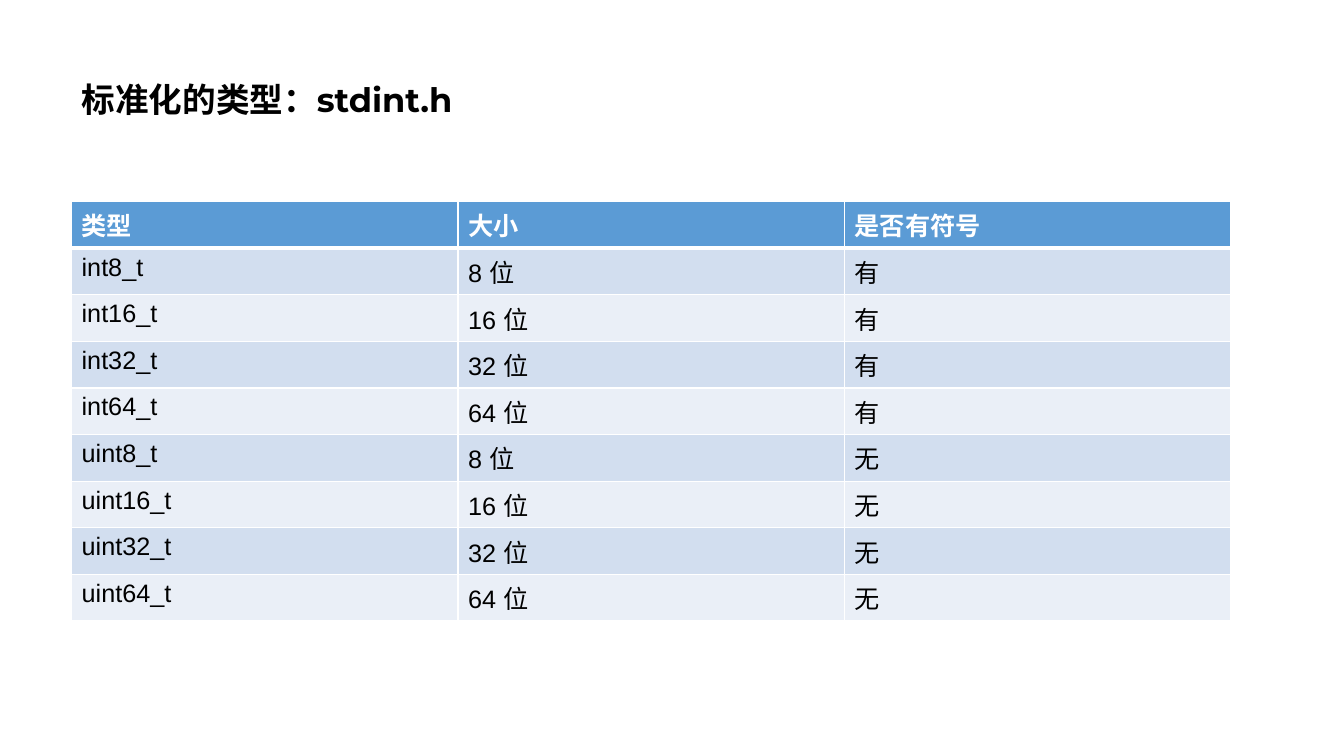
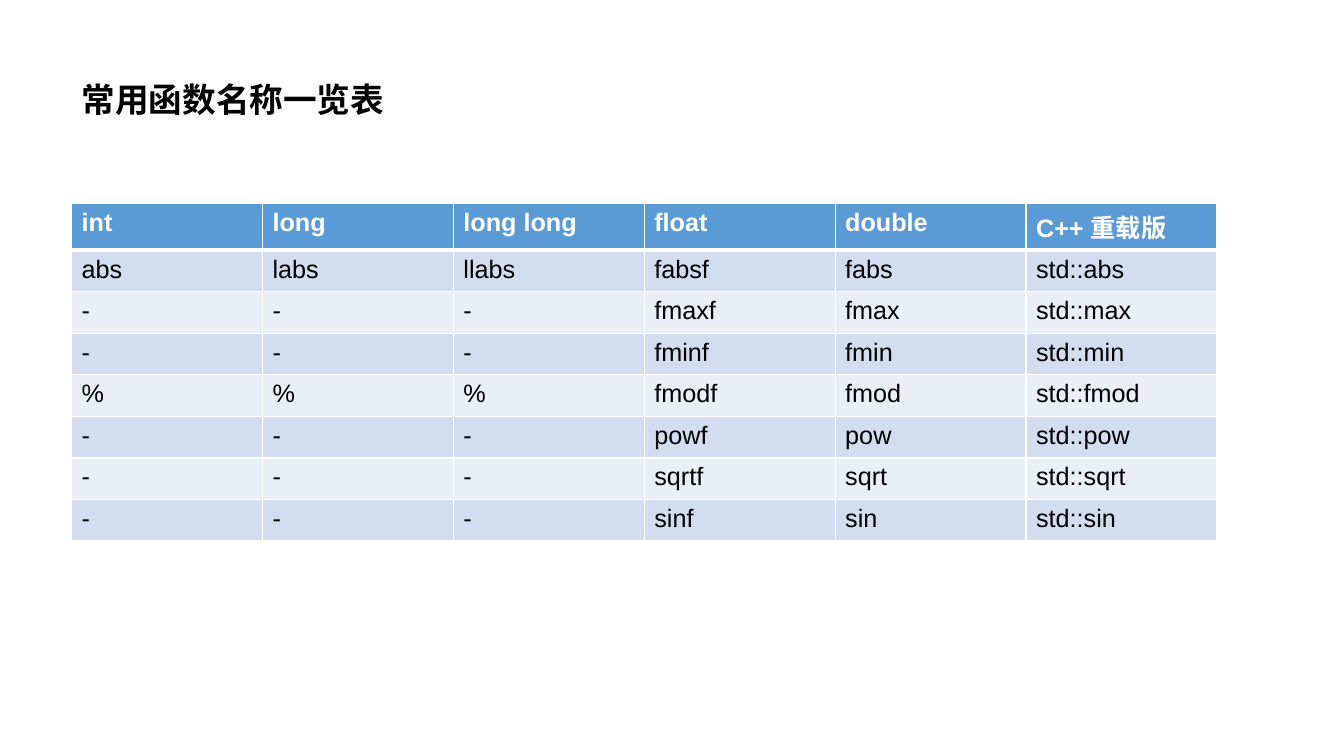
"""Build two table slides: fixed-width integer types and common math functions."""
from pptx import Presentation
from pptx.dml.color import RGBColor
from pptx.enum import text
from pptx.oxml import parse_xml
from pptx.oxml.ns import nsdecls
from pptx.util import Inches, Pt

BLACK = RGBColor(0x00, 0x00, 0x00)
WHITE = RGBColor(0xFF, 0xFF, 0xFF)
HEADER_BLUE = RGBColor(0x5B, 0x9B, 0xD5)
BAND_DARK = RGBColor(0xD2, 0xDE, 0xEF)
BAND_LIGHT = RGBColor(0xEA, 0xEF, 0xF7)

LEFT = Inches(0.71)
TITLE_FONT = "Montserrat"
TABLE_FONT = "Arial"

integer_types = [("类型", "大小", "是否有符号")]
for prefix, signed in (("int", "有"), ("uint", "无")):
    for bits in (8, 16, 32, 64):
        integer_types.append((f"{prefix}{bits}_t", f"{bits} 位", signed))

math_functions = [
    ("int", "long", "long long", "float", "double", "C++ 重载版"),
    ("abs", "labs", "llabs", "fabsf", "fabs", "std::abs"),
]
for name in ("max", "min", "mod", "pow", "sqrt", "sin"):
    integer_form = "%" if name == "mod" else "-"
    double_form = f"f{name}" if name in ("max", "min", "mod") else name
    overload = name if name in ("max", "min") else double_form
    math_functions.append(
        (integer_form,) * 3 + (f"{double_form}f", double_form, f"std::{overload}"))

pages = [
    ("标准化的类型：stdint.h", integer_types, 2, 11.5, 3.75),
    ("常用函数名称一览表", math_functions, 2.02, 11.36, 3.3),
]


def add_border(cell, side, points):
    """Draw one white edge of a table cell."""
    cell._tc.get_or_add_tcPr().append(parse_xml(
        f'<a:{side} {nsdecls("a")} w="{Pt(points)}"><a:solidFill>'
        f'<a:srgbClr val="{WHITE}"/></a:solidFill></a:{side}>'))


deck = Presentation()
deck.slide_width = Inches(13.33)
deck.slide_height = Inches(7.5)

for heading, rows, top, width, height in pages:
    page = deck.slides.add_slide(deck.slide_layouts[5])

    title = page.shapes.title
    title.left, title.top = LEFT, Inches(0.28)
    title.width, title.height = Inches(11.5), Inches(1.45)
    title.text_frame.text = heading
    title.text_frame.vertical_anchor = text.MSO_ANCHOR.MIDDLE
    para = title.text_frame.paragraphs[0]
    para.alignment = text.PP_ALIGN.LEFT
    para.line_spacing = 0.9
    para.font.name = TITLE_FONT
    para.font.size = Pt(24)
    para.font.bold = True
    para.font.color.rgb = BLACK

    table = page.shapes.add_table(
        len(rows), len(rows[0]), LEFT, Inches(top), Inches(width), Inches(height)).table
    for row_index, row in enumerate(rows):
        is_header = row_index == 0
        band = BAND_DARK if row_index % 2 else BAND_LIGHT
        for column_index, value in enumerate(row):
            cell = table.cell(row_index, column_index)
            add_border(cell, "lnL", 1)
            add_border(cell, "lnR", 1)
            add_border(cell, "lnT", 3 if row_index == 1 else 1)
            add_border(cell, "lnB", 3 if is_header else 1)
            cell.fill.solid()
            cell.fill.fore_color.rgb = HEADER_BLUE if is_header else band
            cell.text = value
            font = cell.text_frame.paragraphs[0].font
            font.name = TABLE_FONT
            font.size = Pt(18)
            font.bold = is_header
            font.color.rgb = WHITE if is_header else BLACK

deck.save("out.pptx")
